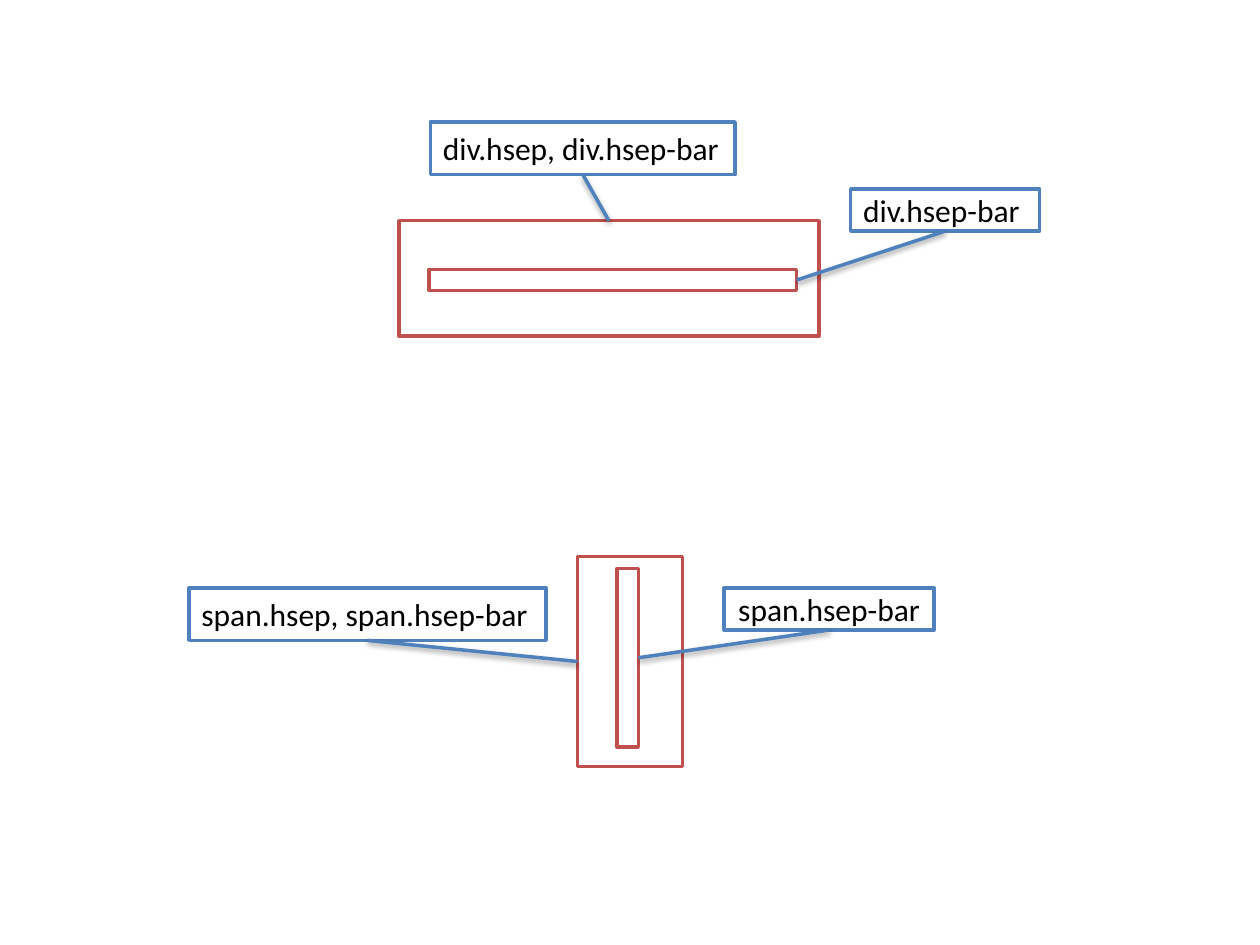
from pptx import Presentation
from pptx.dml.color import RGBColor
from pptx.enum.shapes import MSO_CONNECTOR, MSO_SHAPE
from pptx.enum.text import MSO_ANCHOR, PP_ALIGN
from pptx.util import Cm, Pt

RED, BLUE, WHITE, BLACK = "C0504D", "4F81BD", "FFFFFF", "000000"
TOP, LEFT, BOTTOM, RIGHT = range(4)


def color(hex_string):
    return RGBColor.from_string(hex_string)


def add_box(bounds, line_color):
    shape = slide.shapes.add_shape(MSO_SHAPE.RECTANGLE, *[Cm(value) for value in bounds])
    shape.shadow.inherit = False
    shape.fill.background()
    shape.line.color.rgb = color(line_color)
    shape.line.width = Pt(2)
    return shape


presentation = Presentation()
presentation.slide_width = Cm(25.4)
presentation.slide_height = Cm(19.05)
slide = presentation.slides.add_slide(presentation.slide_layouts[6])

horizontal_frame = add_box((8.04, 4.45, 8.47, 2.33), RED)
horizontal_bar = add_box((8.65, 5.43, 7.41, 0.43), RED)
vertical_bar = add_box((12.44, 11.46, 0.43, 3.6), RED)
vertical_frame = add_box((11.64, 11.22, 2.12, 4.23), RED)

labels = [
    ("div.hsep, div.hsep-bar", (8.68, 2.46, 6.14, 1.06), PP_ALIGN.LEFT, horizontal_frame, TOP),
    ("div.hsep-bar", (17.15, 3.81, 3.81, 0.85), PP_ALIGN.LEFT, horizontal_bar, RIGHT),
    ("span.hsep-bar", (14.6, 11.85, 4.23, 0.85), PP_ALIGN.CENTER, vertical_bar, RIGHT),
    ("span.hsep, span.hsep-bar", (3.81, 11.85, 7.2, 1.06), PP_ALIGN.LEFT, vertical_frame, LEFT),
]

for text, bounds, alignment, target, side in labels:
    label = add_box(bounds, BLUE)
    label.fill.solid()
    label.fill.fore_color.rgb = color(WHITE)
    label.text_frame.vertical_anchor = MSO_ANCHOR.MIDDLE
    paragraph = label.text_frame.paragraphs[0]
    paragraph.text = text
    paragraph.alignment = alignment
    paragraph.font.name = "Calibri"
    paragraph.font.size = Pt(18)
    paragraph.font.color.rgb = color(BLACK)

    connector = slide.shapes.add_connector(MSO_CONNECTOR.STRAIGHT, 0, 0, 0, 0)
    connector.begin_connect(label, BOTTOM)
    connector.end_connect(target, side)
    connector.line.color.rgb = color(BLUE)
    connector.line.width = Pt(2)

presentation.save("out.pptx")
